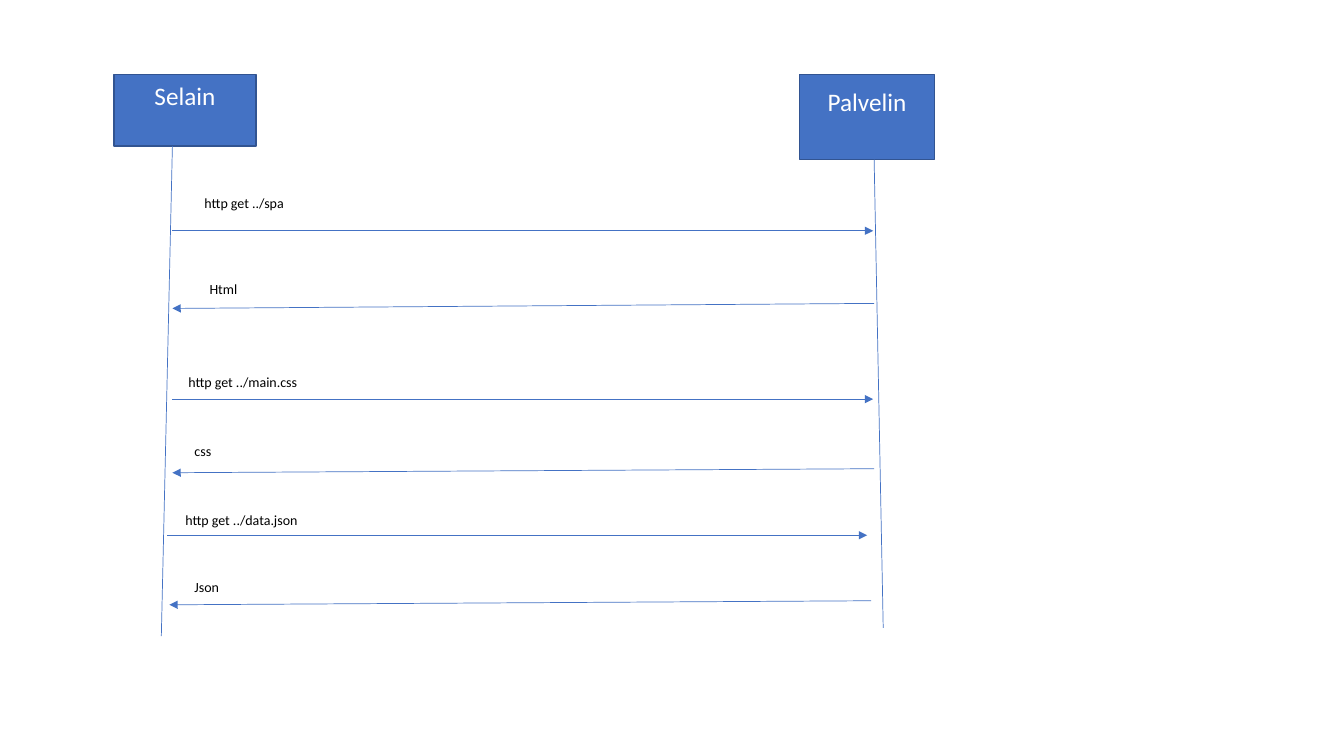
from pptx import Presentation
from pptx.dml.color import RGBColor
from pptx.enum.shapes import MSO_CONNECTOR as Conn, MSO_SHAPE as Shape
from pptx.enum.text import MSO_ANCHOR as Anchor, PP_ALIGN as Align
from pptx.oxml.ns import qn
from pptx.util import Inches, Pt
from lxml.etree import SubElement

COLORS = {"blue": "4472C4", "border": "325491", "white": "FFFFFF", "black": "000000"}


class Diagram:
    font = "Calibri"

    def __init__(self, slide):
        self.slide = slide

    def color(self, name):
        return RGBColor.from_string(COLORS[name])

    def set_text(self, tf, text, size, color, align=Align.LEFT):
        tf.word_wrap = True
        p = tf.paragraphs[0]
        p.text = text
        p.alignment = align
        p.font.name = self.font
        p.font.size = Pt(size)
        p.font.color.rgb = self.color(color)

    def participant(self, name, x, y, w, h):
        sp = self.slide.shapes.add_shape(Shape.RECTANGLE, *map(Inches, (x, y, w, h)))
        sp.shadow.inherit = False
        sp.fill.solid()
        sp.fill.fore_color.rgb = self.color("blue")
        sp.line.color.rgb = self.color("border")
        sp.line.width = Pt(1)
        tf = sp.text_frame
        tf.vertical_anchor = Anchor.MIDDLE
        tf.margin_bottom = Inches(0.35)  # lifts the name above the centre
        self.set_text(tf, name, 18, "white", Align.CENTER)

    def line(self, x1, y1, x2, y2, arrow=False):
        sp = self.slide.shapes.add_connector(Conn.STRAIGHT, *map(Inches, (x1, y1, x2, y2)))
        sp.line.color.rgb = self.color("blue")
        sp.line.width = Pt(0.5)
        props = sp._element.spPr
        if arrow:
            SubElement(props.find(qn("a:ln")), qn("a:tailEnd"), type="triangle")
        SubElement(props, qn("a:effectLst"))

    def label(self, text, x, y):
        sp = self.slide.shapes.add_textbox(*map(Inches, (x, y, 6.36, 0.27)))
        self.set_text(sp.text_frame, text, 10, "black")


prs = Presentation()
prs.slide_width, prs.slide_height = Inches(13.33), Inches(7.5)
d = Diagram(prs.slides.add_slide(prs.slide_layouts[6]))

# Participants and their lifelines
d.participant("Selain", 1.13, 0.74, 1.41, 0.71)
d.participant("Palvelin", 7.93, 0.74, 1.34, 0.84)
d.line(1.71, 1.45, 1.6, 6.31)
d.line(8.67, 1.58, 8.76, 6.23)

# Messages: text, label position, arrow start and end
messages = [
    ("http get ../spa", (1.93, 1.88), (1.71, 2.29), (8.66, 2.29)),
    ("Html", (1.98, 2.73), (8.67, 3.01), (1.71, 3.06)),
    ("http get ../main.css", (1.77, 3.66), (1.71, 3.96), (8.66, 3.96)),
    ("css", (1.83, 4.34), (8.67, 4.65), (1.71, 4.69)),
    ("http get ../data.json", (1.74, 5.03), (1.66, 5.31), (8.6, 5.31)),
    ("Json", (1.83, 5.69), (8.64, 5.96), (1.68, 6)),
]
for text, place, start, end in messages:
    d.line(*start, *end, arrow=True)
    d.label(text, *place)

prs.save("out.pptx")
